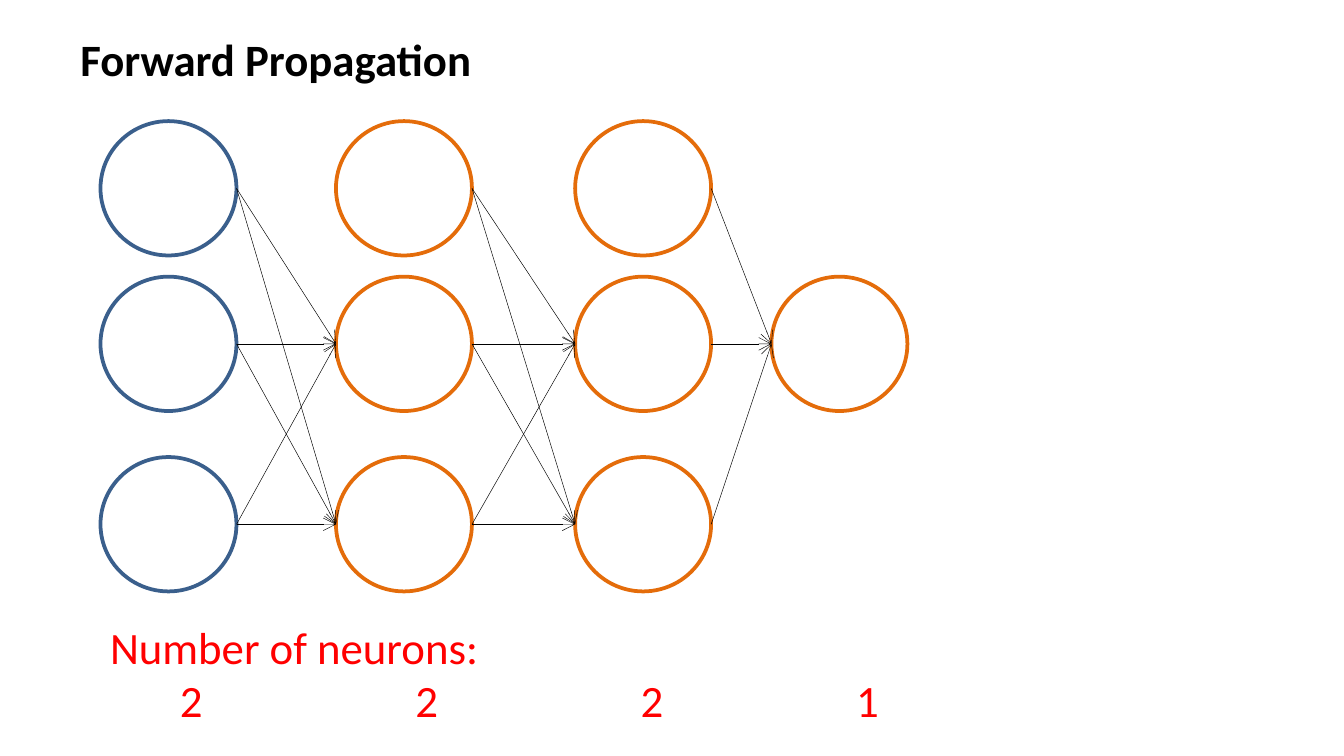
"""Build a slide showing forward propagation through a small neural network."""
import dataclasses

import pptx
import pptx.dml.color
import pptx.enum.shapes
import pptx.enum.text
import pptx.oxml
import pptx.oxml.ns
import pptx.util

Cm = pptx.util.Cm
Pt = pptx.util.Pt
RGB = pptx.dml.color.RGBColor.from_string


@dataclasses.dataclass(frozen=True)
class Theme:
    font: str = "Calibri"
    black: str = "000000"
    white: str = "FFFFFF"
    red: str = "FF0000"
    blue: str = "3A5F8C"
    orange: str = "E46C0A"
    text_size: float = 24
    neuron_line: float = 2
    arrow_line: float = 0.25


class Diagram:
    def __init__(self, slide, theme):
        self.s = slide
        self.theme = theme

    def text(self, left, top, width, height, lines, color, bold=False, tabs=()):
        sp = self.s.shapes.add_textbox(Cm(left), Cm(top), Cm(width), Cm(height))
        tf = sp.text_frame
        tf.word_wrap = True
        tf.auto_size = pptx.enum.text.MSO_AUTO_SIZE.SHAPE_TO_FIT_TEXT
        style = {"name": self.theme.font, "size": Pt(self.theme.text_size), "bold": bold}
        for i, line in enumerate(lines):
            p = tf.add_paragraph() if i else tf.paragraphs[0]
            if "\t" in line:
                self.tab_stops(p, tabs)
            r = p.add_run()
            r.text = line
            for key, value in style.items():
                setattr(r.font, key, value)
            r.font.color.rgb = RGB(color)

    def tab_stops(self, p, tabs):
        stops = "".join(f'<a:tab pos="{Cm(x)}" algn="l"/>' for x in tabs)
        ns = pptx.oxml.ns.nsdecls("a")
        p._p.get_or_add_pPr().append(
            pptx.oxml.parse_xml(f"<a:tabLst {ns}>{stops}</a:tabLst>"))

    def neuron(self, left, top, width, height, color):
        oval = pptx.enum.shapes.MSO_SHAPE.OVAL
        sp = self.s.shapes.add_shape(oval, Cm(left), Cm(top), Cm(width), Cm(height))
        sp.shadow.inherit = False
        sp.fill.solid()
        sp.fill.fore_color.rgb = RGB(self.theme.white)
        sp.line.color.rgb = RGB(color)
        sp.line.width = Pt(self.theme.neuron_line)

    def arrow(self, x1, y1, x2, y2):
        straight = pptx.enum.shapes.MSO_CONNECTOR.STRAIGHT
        sp = self.s.shapes.add_connector(straight, Cm(x1), Cm(y1), Cm(x2), Cm(y2))
        sp.line.color.rgb = RGB(self.theme.black)
        sp.line.width = Pt(self.theme.arrow_line)
        ns = pptx.oxml.ns.nsdecls("a")
        sp.line._get_or_add_ln().append(
            pptx.oxml.parse_xml(f'<a:tailEnd {ns} type="arrow"/>'))
        sp._element.spPr.append(pptx.oxml.parse_xml(f"<a:effectLst {ns}/>"))


def main():
    prs = pptx.Presentation()
    prs.slide_width, prs.slide_height = Cm(25.4), Cm(14.29)
    theme = Theme()
    d = Diagram(prs.slides.add_slide(prs.slide_layouts[6]), theme)

    d.text(1.27, 0.48, 17.78, 1.27, ["Forward Propagation"], theme.black, bold=True)

    width, height = 2.57, 2.54
    top, middle, bottom = rows = (2.29, 5.23, 8.64)
    layers = [
        (1.9, rows, theme.blue),
        (6.35, rows, theme.orange),
        (10.87, rows, theme.orange),
        (14.58, (middle,), theme.orange),
    ]
    for left, tops, color in layers:
        for y in tops:
            d.neuron(left, y, width, height, color)
    for (left, sources, _), (next_left, targets, _) in zip(layers, layers[1:]):
        for target in targets:
            if target == top:
                continue
            for source in sources:
                d.arrow(left + width, source + height / 2,
                        next_left, target + height / 2)

    counts = (2, 2, 2, 1)
    d.text(1.83, 11.58, 16.79, 2.31,
           ["Number of neurons:", "".join(f"\t{n}" for n in counts)],
           theme.red, tabs=(1.32, 5.77, 10.03, 14.1))
    prs.save("out.pptx")


if __name__ == "__main__":
    main()
